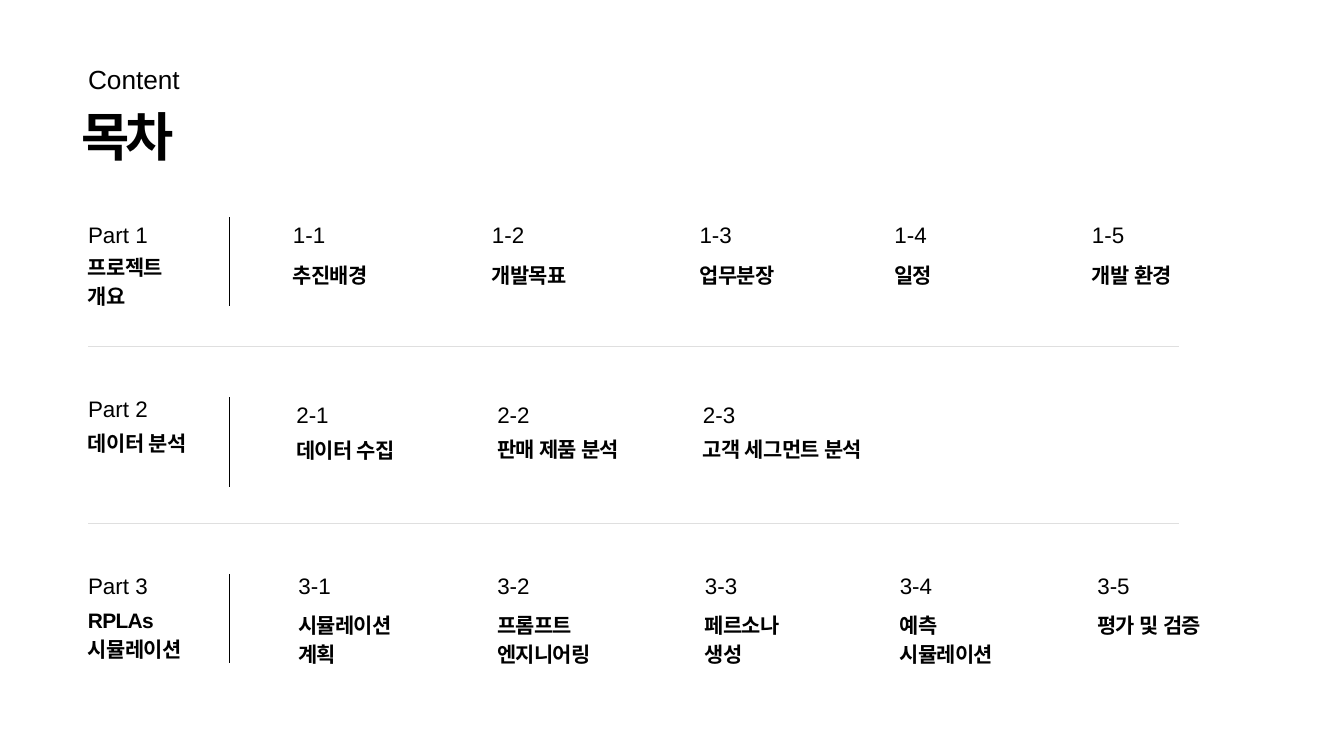
from lxml import etree
from pptx import Presentation
from pptx.dml.color import RGBColor
from pptx.enum import shapes, text
from pptx.oxml.ns import qn
from pptx.util import Inches, Pt

BLACK = RGBColor(0x00, 0x00, 0x00)
RULE_GRAY = RGBColor(0xDF, 0xDF, 0xDF)
FONT = "Arial"

deck = Presentation()
deck.slide_width, deck.slide_height = Inches(20), Inches(11.25)
slide = deck.slides.add_slide(deck.slide_layouts[6])


def add_text(content, left, top, width, height, size=24, leading=33.6, bold=False, tracking=0):
    box = slide.shapes.add_textbox(Inches(left), Inches(top), Inches(width), Inches(height))
    frame = box.text_frame
    frame.word_wrap = True
    frame.auto_size = text.MSO_AUTO_SIZE.SHAPE_TO_FIT_TEXT
    frame.margin_left = frame.margin_top = frame.margin_right = frame.margin_bottom = 0
    frame.text = content
    for paragraph in frame.paragraphs:
        paragraph.line_spacing = Pt(leading)
        for run in paragraph.runs:
            run.font.name = FONT
            run.font.size = Pt(size)
            run.font.bold = bold
            run.font.color.rgb = BLACK
            properties = run.font._element
            etree.SubElement(properties, qn("a:ea")).set("typeface", FONT)
            if tracking:
                properties.set("spc", str(round(tracking * 100)))


def add_rule(x1, y1, x2, y2, color):
    rule = slide.shapes.add_connector(
        shapes.MSO_CONNECTOR.STRAIGHT, Inches(x1), Inches(y1), Inches(x2), Inches(y2))
    rule.line.color.rgb = color
    rule.line.width = Pt(0.75)
    etree.SubElement(rule._element.spPr, qn("a:effectLst"))


LABEL = dict(size=22.4, leading=31.3, bold=True, tracking=-0.8)
MARGIN = 1.31

# Heading
add_text("Content", MARGIN, 0.86, 4.09, 0.5, size=28.1, leading=39.4)
add_text("목차", 1.21, 1.67, 7.56, 0.84, size=56.2, leading=59, bold=True, tracking=-3.8)

# Each part: number top, name, name top, divider top, section number top,
# then its sections as (left, title, title top)
parts = [
    (3.23, "프로젝트\n개요", 3.73, 3.23, 3.23, [
        (4.36, "추진배경", 3.84),
        (7.32, "개발목표", 3.84),
        (10.41, "업무분장", 3.84),
        (13.31, "일정", 3.84),
        (16.25, "개발 환경", 3.84)]),
    (5.81, "데이터 분석", 6.35, 5.91, 5.91, [
        (4.41, "데이터 수집", 6.45),
        (7.4, "판매 제품 분석", 6.43),
        (10.46, "고객 세그먼트 분석", 6.43)]),
    (8.44, "RPLAs\n시뮬레이션", 8.98, 8.54, 8.44, [
        (4.44, "시뮬레이션\n계획", 9.05),
        (7.4, "프롬프트\n엔지니어링", 9.05),
        (10.49, "페르소나\n생성", 9.05),
        (13.39, "예측\n시뮬레이션", 9.05),
        (16.33, "평가 및 검증", 9.05)]),
]

for part, (part_top, name, name_top, divider_top, number_top, sections) in enumerate(parts, 1):
    # Part name and vertical divider
    add_text(f"Part {part}", MARGIN, part_top, 1.18, 0.43)
    add_text(name, MARGIN, name_top, 1.56, 0.83, **LABEL)
    add_rule(3.42, divider_top, 3.42, divider_top + 1.33, BLACK)

    # Numbered sections
    for section, (left, title, title_top) in enumerate(sections, 1):
        title_height = 0.83 if "\n" in title else 0.41
        add_text(f"{part}-{section}", left, number_top, 1.1, 0.43)
        add_text(title, left, title_top, 2.9, title_height, **LABEL)

# Rules between the parts
for rule_top in (5.16, 7.79):
    add_rule(MARGIN, rule_top, 17.54, rule_top, RULE_GRAY)

deck.save("out.pptx")
